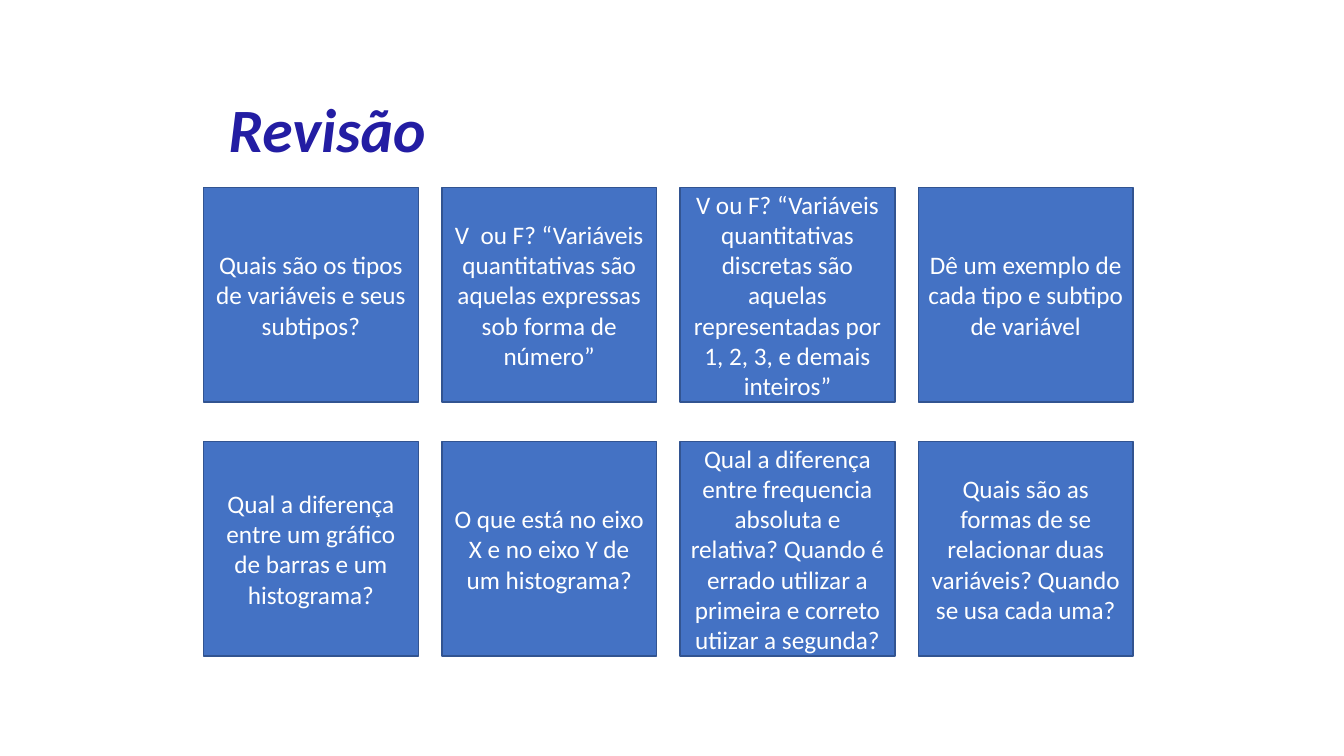
"""Build the review slide: a title above a grid of eight question cards."""
from pptx import Presentation
from pptx.dml.color import RGBColor
from pptx.enum.shapes import MSO_SHAPE
from pptx.enum.text import MSO_ANCHOR, MSO_AUTO_SIZE, PP_ALIGN
from pptx.util import Pt

COLORS = {"title": "231DA3", "card": "4472C4", "border": "325491", "card_text": "FFFFFF"}

QUESTIONS = [
    "Quais são os tipos de variáveis e seus subtipos?",
    "V  ou F? “Variáveis quantitativas são aquelas expressas sob forma de número”",
    "V ou F? “Variáveis quantitativas discretas são aquelas representadas por 1, 2, 3, e demais inteiros”",
    "Dê um exemplo de cada tipo e subtipo de variável",
    "Qual a diferença entre um gráfico de barras e um histograma?",
    "O que está no eixo X e no eixo Y de um histograma?",
    "Qual a diferença entre frequencia absoluta e relativa? Quando é errado utilizar a primeira e correto utiizar a segunda?",
    "Quais são as formas de se relacionar duas variáveis? Quando se usa cada uma?",
]
COLUMNS = 4
CARD_SIZE = 153.4
GRID_LEFT, GRID_TOP = 145.4, 133.9
COLUMN_STEP, ROW_STEP = 170.2, 181.4


def write_text(shape, text, size, color, align, bold=False, italic=False, line_spacing=1.0):
    """Fill a shape with one formatted paragraph, centred vertically."""
    frame = shape.text_frame
    frame.word_wrap = True
    frame.auto_size = MSO_AUTO_SIZE.NONE
    frame.vertical_anchor = MSO_ANCHOR.MIDDLE
    paragraph = frame.paragraphs[0]
    paragraph.alignment = align
    paragraph.line_spacing = line_spacing
    run = paragraph.add_run()
    run.text = text
    run.font.name = "Calibri"
    run.font.size = Pt(size)
    run.font.bold = bold
    run.font.italic = italic
    run.font.color.rgb = RGBColor.from_string(COLORS[color])


presentation = Presentation()
presentation.slide_width = Pt(960)
presentation.slide_height = Pt(540)
slide = presentation.slides.add_slide(presentation.slide_layouts[5])

title = slide.shapes.title
title.left, title.top, title.width, title.height = Pt(156.2), Pt(49.7), Pt(648), Pt(90)
write_text(title, "Revisão", size=44, color="title", align=PP_ALIGN.LEFT,
           bold=True, italic=True, line_spacing=0.9)

for index, question in enumerate(QUESTIONS):
    row, column = divmod(index, COLUMNS)
    card = slide.shapes.add_shape(
        MSO_SHAPE.RECTANGLE,
        Pt(GRID_LEFT + column * COLUMN_STEP), Pt(GRID_TOP + row * ROW_STEP),
        Pt(CARD_SIZE), Pt(CARD_SIZE))
    card.shadow.inherit = False
    card.fill.solid()
    card.fill.fore_color.rgb = RGBColor.from_string(COLORS["card"])
    card.line.color.rgb = RGBColor.from_string(COLORS["border"])
    card.line.width = Pt(1)
    write_text(card, question, size=18, color="card_text", align=PP_ALIGN.CENTER)

presentation.save("out.pptx")
